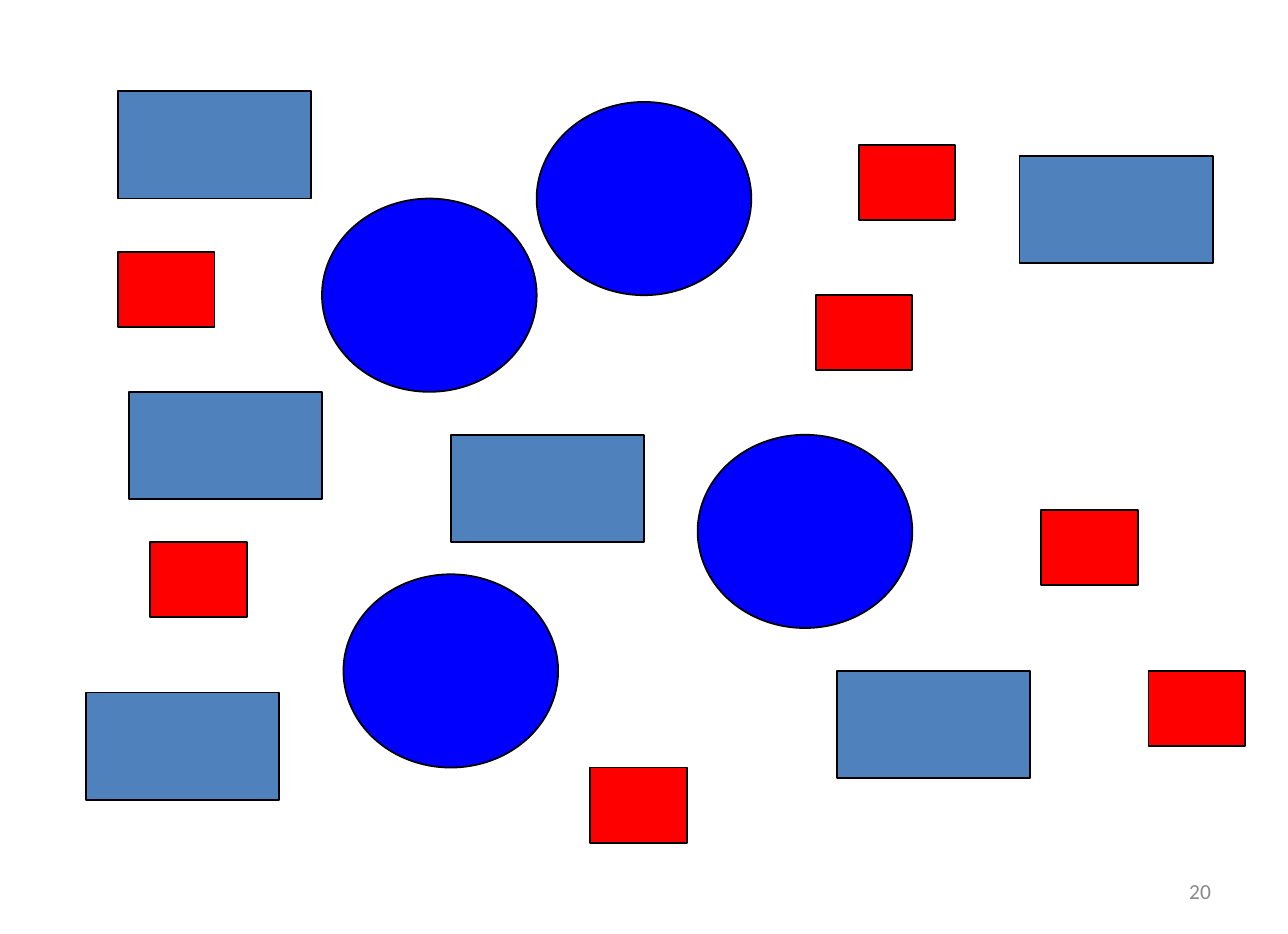
from pptx import Presentation
from pptx.dml.color import RGBColor
from pptx.enum.shapes import MSO_SHAPE
from pptx.enum.text import MSO_ANCHOR, PP_ALIGN
from pptx.util import Pt

RECT = MSO_SHAPE.RECTANGLE
OVAL = MSO_SHAPE.OVAL
MIDDLE = MSO_ANCHOR.MIDDLE
RIGHT = PP_ALIGN.RIGHT

STEEL = RGBColor(0x4F, 0x81, 0xBD)
BLUE = RGBColor(0x00, 0x00, 0xFF)
RED = RGBColor(0xFF, 0x00, 0x00)
BLACK = RGBColor(0x00, 0x00, 0x00)
GREY = RGBColor(0x89, 0x89, 0x89)

BARS = [(66, 51), (468, 375), (570, 87), (72, 219), (252, 243), (48, 387)]
DISCS = [(300, 57), (390, 243), (180, 111), (192, 321)]
BLOCKS = [(66, 141), (582, 285), (84, 303), (480, 81),
          (642, 375), (456, 165), (330, 429)]


def add_text(slide, box, text, *, size, color, align, font="Calibri"):
    frame = slide.shapes.add_textbox(*map(Pt, box)).text_frame
    frame.word_wrap = True
    frame.vertical_anchor = MIDDLE
    para = frame.paragraphs[0]
    para.alignment = align
    run = para.add_run()
    run.text = text
    run.font.name = font
    run.font.size = Pt(size)
    run.font.color.rgb = color


def add_group(slide, box, kind, spots, size, color):
    left, top = box[:2]
    width, height = size
    for x, y in spots:
        shape = slide.shapes.add_shape(
            kind, Pt(left + x), Pt(top + y), Pt(width), Pt(height))
        shape.shadow.inherit = False
        shape.fill.solid()
        shape.fill.fore_color.rgb = color
        shape.line.color.rgb = BLACK
        shape.line.width = Pt(1)


def add_field(slide, box):
    add_group(slide, box, RECT, BARS, (108, 60), STEEL)
    add_group(slide, box, OVAL, DISCS, (120, 108), BLUE)
    add_group(slide, box, RECT, BLOCKS, (54, 42), RED)


def main():
    deck = Presentation()
    deck.slide_width = Pt(720)
    deck.slide_height = Pt(522)
    slide = deck.slides.add_slide(deck.slide_layouts.get_by_name("Blank"))
    add_text(slide, (516, 484, 168, 28), "20",
             size=12, color=GREY, align=RIGHT)
    add_field(slide, (0, 0, 720, 522))
    deck.save("out.pptx")


if __name__ == "__main__":
    main()
